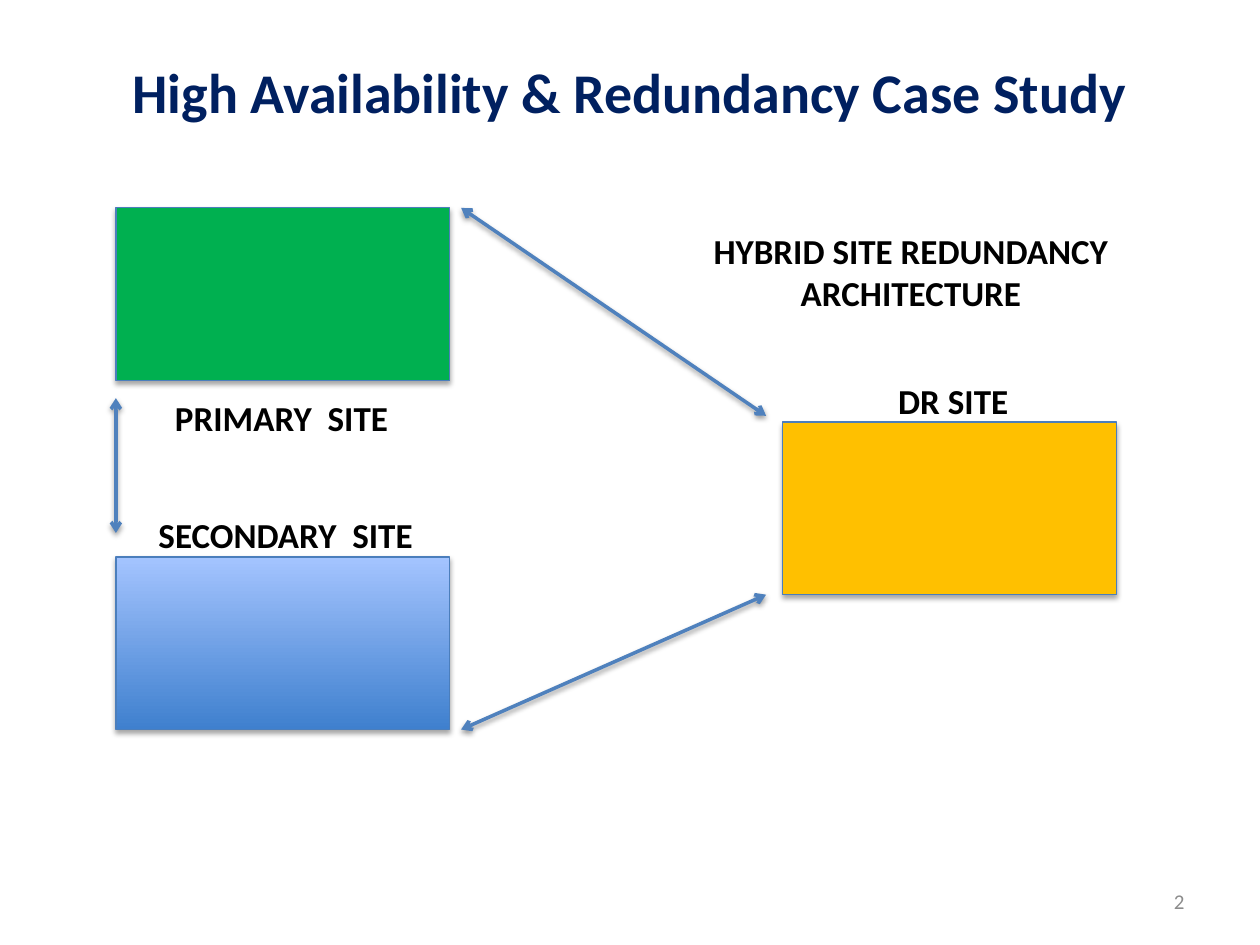
from dataclasses import dataclass

from lxml.etree import SubElement as add_element
from pptx import Presentation
from pptx.dml.color import RGBColor as Color
from pptx.enum.shapes import MSO_CONNECTOR as Connector, MSO_SHAPE as Shape
from pptx.enum.text import MSO_ANCHOR as Anchor, PP_ALIGN as Align
from pptx.oxml.ns import qn
from pptx.util import Inches, Pt


@dataclass(frozen=True)
class Theme:
    """Colours, type sizes and line widths of the deck."""
    font: str = "Calibri"
    navy: str = "002060"
    black: str = "000000"
    grey: str = "8C8C8C"
    green: str = "00B050"
    amber: str = "FFC000"
    blues: tuple = ("3F80CE", "A4C4FF")
    outline: str = "4B7EBC"
    link: str = "4F81BD"
    title_size: int = 32
    label_size: int = 20
    number_size: int = 12
    outline_width: float = 0.75
    link_width: float = 2


THEME = Theme()
COLUMNS, ROWS = 100, 75
WIDTH, HEIGHT = Inches(10), Inches(7.5)


def across(columns):
    """Turn grid columns into a length."""
    return round(WIDTH * columns / COLUMNS)


def down(rows):
    """Turn grid rows into a length."""
    return round(HEIGHT * rows / ROWS)


@dataclass(frozen=True)
class Box:
    """An area of the page in grid columns and rows."""
    left: float
    top: float
    width: float
    height: float

    @property
    def right(self):
        """Give the column of the right edge."""
        return self.left + self.width

    @property
    def bottom(self):
        """Give the row of the bottom edge."""
        return self.top + self.height

    def inner(self, left, top, width, height):
        """Give a box offset from this one's top left corner."""
        return Box(self.left + left, self.top + top, width, height)

    def lengths(self):
        """Give left, top, width and height as lengths."""
        return across(self.left), down(self.top), across(self.width), down(self.height)


def write(page, box, text, size=THEME.label_size, color=THEME.black, bold=True,
          align=Align.LEFT, anchor=Anchor.TOP, wrap=False):
    """Place text in a box, one paragraph for each line."""
    frame = page.shapes.add_textbox(*box.lengths()).text_frame
    frame.word_wrap = wrap
    frame.vertical_anchor = anchor
    for index, line in enumerate(text.split("\n")):
        para = frame.add_paragraph() if index else frame.paragraphs[0]
        para.alignment = align
        span = para.add_run()
        span.text = line
        span.font.name = THEME.font
        span.font.size = Pt(size)
        span.font.bold = bold
        span.font.color.rgb = Color.from_string(color)


def add_shadow(properties, distance, opacity):
    """Give shape properties a soft shadow that falls straight down."""
    effects = properties.find(qn("a:effectLst"))
    if effects is None:
        effects = add_element(properties, qn("a:effectLst"))
    shadow = add_element(effects, qn("a:outerShdw"), blurRad=str(Pt(3.1)),
                         dist=str(Pt(distance)), dir="5400000", rotWithShape="0")
    color = add_element(shadow, qn("a:srgbClr"), val=THEME.black)
    add_element(color, qn("a:alpha"), val=str(opacity * 1000))


def add_site(page, box, name, label, fill):
    """Draw a site block and its name, placed relative to the block."""
    block = page.shapes.add_shape(Shape.RECTANGLE, *box.lengths())
    if isinstance(fill, tuple):
        block.fill.gradient()
        block.fill.gradient_angle = 90
        for stop, color in zip(block.fill.gradient_stops, fill):
            stop.color.rgb = Color.from_string(color)
    else:
        block.fill.solid()
        block.fill.fore_color.rgb = Color.from_string(fill)
    block.line.color.rgb = Color.from_string(THEME.outline)
    block.line.width = Pt(THEME.outline_width)
    block.shadow.inherit = False
    add_shadow(block._element.spPr, distance=1.8, opacity=35)
    write(page, box.inner(*label), name)


def add_link(page, start, end):
    """Draw a two-headed arrow between two grid points."""
    link = page.shapes.add_connector(Connector.STRAIGHT, across(start[0]), down(start[1]),
                                     across(end[0]), down(end[1]))
    link.line.color.rgb = Color.from_string(THEME.link)
    link.line.width = Pt(THEME.link_width)
    outline = link.line._get_or_add_ln()
    for tip in ("a:headEnd", "a:tailEnd"):
        add_element(outline, qn(tip), type="arrow")
    add_shadow(link._element.spPr, distance=1.6, opacity=38)


def add_diagram(page, area):
    """Draw the three sites, the links between them and the caption."""
    site = (26.5, 13.7)
    primary = area.inner(0, 0, *site)
    secondary = area.inner(0, area.height - site[1], *site)
    recovery = area.inner(area.width - site[0], 17, *site)
    add_site(page, secondary, "SECONDARY  SITE", (2.4, -3.9, 22.4, 4.4), THEME.blues)
    add_site(page, recovery, "DR SITE", (8.2, -3.9, 10.8, 4.4), THEME.amber)
    add_site(page, primary, "PRIMARY  SITE", (3.7, 14.5, 19.1, 4.4), THEME.green)
    near, far = primary.right + 0.9, recovery.left - 1.3
    add_link(page, (near, primary.top), (far, recovery.top - 0.5))
    add_link(page, (near, secondary.bottom), (far, recovery.bottom))
    add_link(page, (area.left, primary.bottom + 1.4), (area.left, secondary.top - 1.9))
    write(page, area.inner(46.3, 1.2, 33.6, 7.7), "HYBRID SITE REDUNDANCY\nARCHITECTURE",
          align=Align.CENTER)


def add_title(page, box):
    """Write the page title across its box."""
    write(page, box, "High Availability & Redundancy Case Study", size=THEME.title_size,
          color=THEME.navy, align=Align.CENTER, anchor=Anchor.MIDDLE, wrap=True)


def add_page_number(page, box):
    """Write the page number at the right of its box."""
    write(page, box, "2", size=THEME.number_size, color=THEME.grey, bold=False,
          align=Align.RIGHT, anchor=Anchor.MIDDLE, wrap=True)


def main():
    """Build the deck and save it."""
    deck = Presentation()
    deck.slide_width, deck.slide_height = WIDTH, HEIGHT
    page = deck.slides.add_slide(deck.slide_layouts[6])
    add_diagram(page, Box(9.2, 16.5, 79.4, 41.4))
    add_page_number(page, Box(71.7, 69.5, 23.3, 4))
    add_title(page, Box(5, 2.3, 90, 9.8))
    deck.save("out.pptx")


if __name__ == "__main__":
    main()
